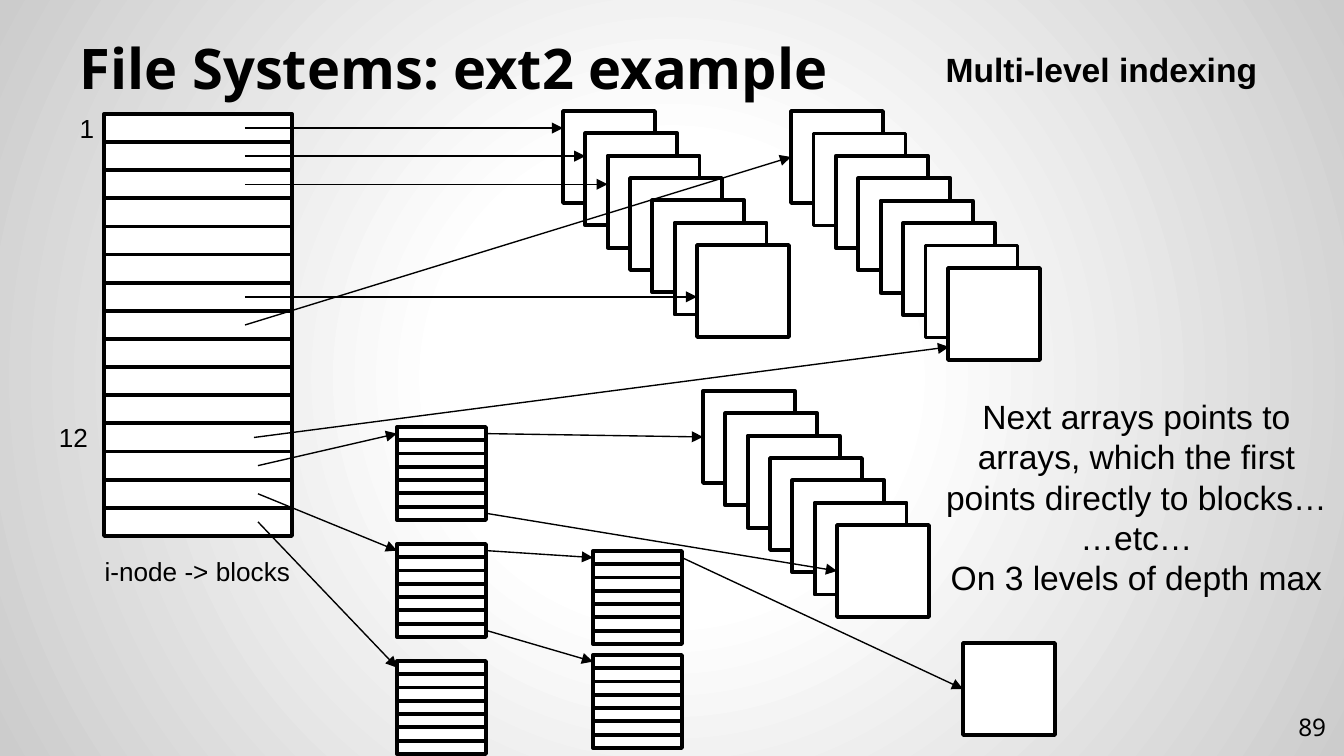
from collections import namedtuple
from dataclasses import dataclass

from lxml import etree
from pptx import Presentation
from pptx.dml.color import RGBColor
from pptx.enum.shapes import MSO_CONNECTOR, MSO_SHAPE
from pptx.enum.text import MSO_ANCHOR, PP_ALIGN
from pptx.oxml import parse_xml
from pptx.oxml.ns import nsdecls, qn
from pptx.util import Emu, Pt

RECT = MSO_SHAPE.RECTANGLE
LINE = MSO_CONNECTOR.STRAIGHT
LEFT, MID, RIGHT = PP_ALIGN.LEFT, PP_ALIGN.CENTER, PP_ALIGN.RIGHT
TOP, CENTER, BOTTOM = MSO_ANCHOR.TOP, MSO_ANCHOR.MIDDLE, MSO_ANCHOR.BOTTOM

Box = namedtuple("Box", "x y w h")


@dataclass(frozen=True)
class Theme:
    ink: str = "000000"
    paper: str = "FFFFFF"
    shade: str = "CCCCCC"
    head: str = "Noto Sans"
    body: str = "Arial"
    title: int = 30
    text: int = 18
    label: int = 14
    page: int = 13
    border: float = 2
    arrow: float = 0.75


THEME = Theme()
SIDE = 92       # edge of one data block
ROWS = 7        # rows in an index block
SLOTS = 15      # pointers in the i-node


def px(n):
    return Emu(round(n * 914400 / 134.4))


def color(code):
    return RGBColor.from_string(code)


def write(shapes, box, text, size=THEME.label, font=THEME.body, bold=False,
          align=MID, anchor=TOP, inset=7):
    """Add a text box with one paragraph for each line of text."""
    frame = shapes.add_textbox(*map(px, box)).text_frame
    frame.word_wrap = True
    frame.vertical_anchor = anchor
    frame.margin_left = frame.margin_right = px(13)
    frame.margin_top = frame.margin_bottom = px(inset)
    frame.text = text
    for par in frame.paragraphs:
        par.alignment = align
        par.font.size = Pt(size)
        par.font.name = font
        par.font.bold = bold
        par.font.color.rgb = color(THEME.ink)


def block(shapes, box):
    rect = shapes.add_shape(RECT, *map(px, box))
    rect.shadow.inherit = False
    rect.fill.solid()
    rect.fill.fore_color.rgb = color(THEME.paper)
    rect.line.color.rgb = color(THEME.ink)
    rect.line.width = Pt(THEME.border)


def arrow(shapes, start, end):
    link = shapes.add_connector(LINE, *map(px, start + end))
    link.line.color.rgb = color(THEME.ink)
    link.line.width = Pt(THEME.arrow)
    etree.SubElement(link.line._get_or_add_ln(), qn("a:tailEnd"), type="triangle")
    etree.SubElement(link._element.spPr, qn("a:effectLst"))


def row_mid(box, count, row):
    return box.y + box.h * (row + 0.5) / count


def left_mid(box):
    return box.x, box.y + box.h / 2


def column(shapes, box, count):
    """Split the box into equal stacked rows, grouped; return the group's shapes."""
    group = shapes.add_group_shape().shapes
    step = box.h / count
    for row in range(count):
        block(group, Box(box.x, box.y + row * step, box.w, step))
    return group


def cascade(shapes, box, count):
    """Fill the box with overlapping blocks on its diagonal; return their boxes."""
    step = (box.w - SIDE) / (count - 1)
    cards = [Box(box.x + i * step, box.y + i * step, SIDE, SIDE)
             for i in range(count)]
    for card in cards:
        block(shapes, card)
    return cards


def inode(shapes, box):
    group = column(shapes, box, SLOTS)
    write(group, Box(box.x - 48, box.y + box.h + 12, 283, 46), "i-node -> blocks")
    for row, x, w in ((0, 65, 44), (11, 38, 71)):
        write(shapes, Box(x, row_mid(box, SLOTS, row) - 23, w, 46), str(row + 1))


def direct(shapes, node, near, far):
    """Slots 1 to 12 point straight at two cascades of data blocks."""
    cards = cascade(shapes, near, 7)
    for slot, card in ((0, 0), (1, 1), (2, 2), (6, 6)):
        y = row_mid(node, SLOTS, slot)
        arrow(shapes, (node.x + 141, y), (cards[card].x, y))
    arrow(shapes, (node.x + 150, row_mid(node, SLOTS, 11)),
          (far.x + 158, far.y + 236))
    cards = cascade(shapes, far, 8)
    arrow(shapes, (node.x + 141, row_mid(node, SLOTS, 7)), left_mid(cards[0]))


def nested(shapes, node, firsts, seconds, stack, leaf):
    """Slots 13 to 15 point at index blocks of growing depth."""
    for box in firsts + seconds:
        column(shapes, box, ROWS)
    cards = cascade(shapes, stack, 7)
    block(shapes, leaf)
    for slot, box in enumerate(firsts, 12):
        arrow(shapes, (node.x + 154, row_mid(node, SLOTS, slot)),
              (box.x, row_mid(box, ROWS, 0)))
    targets = ([left_mid(cards[0]), left_mid(cards[-1])],
               [(box.x, row_mid(box, ROWS, 0)) for box in seconds])
    for box, ends in zip(firsts, targets):
        for row, end in zip((0, ROWS - 1), ends):
            arrow(shapes, (box.x + box.w, row_mid(box, ROWS, row)), end)
    deep = seconds[0]
    arrow(shapes, (deep.x + deep.w, row_mid(deep, ROWS, 0)), left_mid(leaf))


def backdrop(slide):
    stops = "".join(
        f'<a:gs pos="{pos}000"><a:srgbClr val="{code}"/></a:gs>'
        for pos, code in ((0, THEME.paper), (30, THEME.paper), (100, THEME.shade)))
    slide._element.cSld.insert(0, parse_xml(
        f'<p:bg {nsdecls("p", "a")}><p:bgPr><a:gradFill><a:gsLst>{stops}</a:gsLst>'
        '<a:path path="circle"><a:fillToRect l="50000" t="50000" r="50000" '
        'b="50000"/></a:path></a:gradFill><a:effectLst/></p:bgPr></p:bg>'))


def main():
    deck = Presentation()
    deck.slide_width, deck.slide_height = px(1344), px(756)
    slide = deck.slides.add_slide(deck.slide_layouts[6])
    shapes = slide.shapes
    backdrop(slide)

    write(shapes, Box(67, 31, 1210, 83), "File Systems: ext2 example",
          size=THEME.title, font=THEME.head, bold=True, align=LEFT,
          anchor=BOTTOM, inset=13)
    write(shapes, Box(1258, 698, 81, 58), "89", size=THEME.page,
          font=THEME.head, align=RIGHT, anchor=CENTER, inset=13)
    write(shapes, Box(926, 42, 351, 54), "Multi-level indexing",
          size=THEME.text, bold=True)

    node = Box(104, 114, 188, 422)
    inode(shapes, node)
    direct(shapes, node, Box(563, 111, 226, 226), Box(791, 111, 249, 249))
    nested(shapes, node,
           firsts=[Box(397, y, 89, 93) for y in (427, 544, 661)],
           seconds=[Box(593, y, 89, 93) for y in (551, 655)],
           stack=Box(703, 391, 226, 226), leaf=Box(963, 643, SIDE, SIDE))

    write(shapes, Box(929, 389, 415, 218),
          "Next arrays points to arrays, which the first points directly to "
          "blocks…\n…etc…\nOn 3 levels of depth max", size=THEME.text)
    deck.save("out.pptx")


if __name__ == "__main__":
    main()
